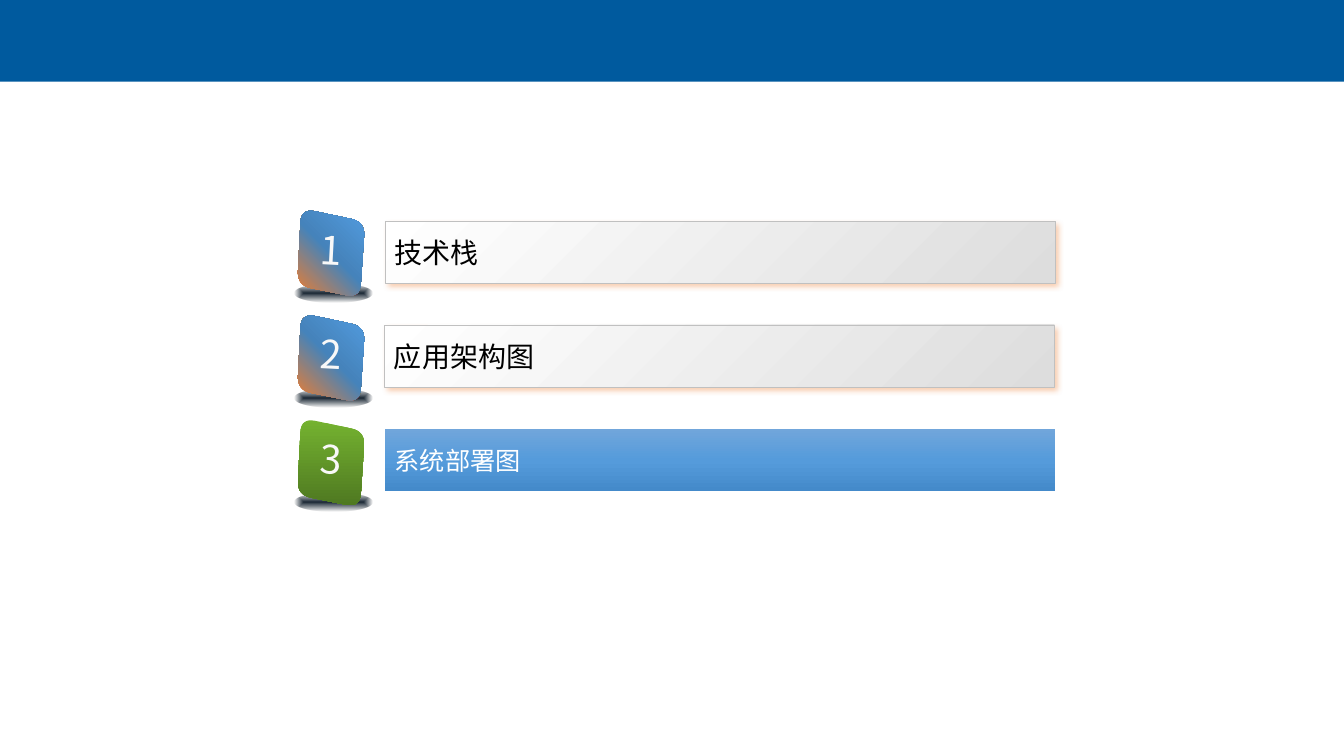
from lxml.etree import SubElement
from pptx import Presentation
from pptx.dml.color import RGBColor
from pptx.enum.shapes import MSO_SHAPE
from pptx.enum.text import MSO_ANCHOR, PP_ALIGN
from pptx.oxml import parse_xml
from pptx.oxml.ns import nsdecls, qn
from pptx.util import Cm, Pt

FONT = "Noto Sans CJK SC"
BAND_BLUE = RGBColor(0x00, 0x5A, 0x9E)
ORANGE = RGBColor(0xED, 0x7D, 0x31)
TILE_BLUE = RGBColor(0x45, 0x83, 0xBB)
TILE_LIGHT_BLUE = RGBColor(0x52, 0x9B, 0xDE)
GREEN = RGBColor(0x74, 0xB2, 0x30)
DARK_GREEN = RGBColor(0x4F, 0x79, 0x21)
NAVY = RGBColor(0x00, 0x10, 0x1E)
BAR_GRAY = RGBColor(0xDD, 0xDD, 0xDD)
BORDER_GRAY = RGBColor(0xC0, 0xC0, 0xC0)
BAR_LIGHT_BLUE = RGBColor(0x71, 0xA6, 0xDB)
BAR_BLUE = RGBColor(0x55, 0x9B, 0xDB)
BAR_DEEP_BLUE = RGBColor(0x44, 0x8A, 0xCA)
OFF_WHITE = RGBColor(0xF8, 0xF8, 0xF8)
WHITE = RGBColor(0xFF, 0xFF, 0xFF)
BLACK = RGBColor(0x00, 0x00, 0x00)

LINEAR = '<a:lin ang="{}" scaled="0"/>'
FROM_CENTRE = ('<a:path path="shape"><a:fillToRect l="50000" t="50000" '
               'r="50000" b="50000"/></a:path>')
FROM_BOTTOM_RIGHT = ('<a:path path="circle"><a:fillToRect l="100000" '
                     't="100000"/></a:path>')

BLUE_TILE = ([(0, ORANGE, 100), (50, TILE_BLUE, 100),
              (100, TILE_LIGHT_BLUE, 100)], LINEAR.format(315 * 60000))
GREEN_TILE = ([(0, GREEN, 100), (100, DARK_GREEN, 100)],
              LINEAR.format(90 * 60000))
GRAY_BAR = ([(0, BAR_GRAY, 100), (100, WHITE, 100)], FROM_BOTTOM_RIGHT)
BLUE_BAR = ([(0, BAR_LIGHT_BLUE, 100), (50, BAR_BLUE, 100),
             (100, BAR_DEEP_BLUE, 100)], LINEAR.format(90 * 60000))
GROUND_SHADOW = ([(0, NAVY, 90), (100, NAVY, 0)], FROM_CENTRE)

TILE_CORNERS = [(7.59, 5.25), (9.2, 5.59), (9.07, 7.51), (7.49, 7.19)]
CORNER_RADIUS = 0.36
ROW_PITCH = 2.64
BAR_PITCH = 2.62


def fill_gradient(shape, gradient):
    stops, direction = gradient
    stop_xml = "".join(
        f'<a:gs pos="{position * 1000}"><a:srgbClr val="{color}">'
        f'<a:alpha val="{opacity * 1000}"/></a:srgbClr></a:gs>'
        for position, color, opacity in stops)
    shape.fill.gradient()
    properties = shape._element.spPr
    properties.replace(properties.find(qn("a:gradFill")), parse_xml(
        f'<a:gradFill {nsdecls("a")} rotWithShape="1"><a:gsLst>{stop_xml}'
        f'</a:gsLst>{direction}</a:gradFill>'))


def add_plain_shape(slide, kind, left, top, width, height):
    shape = slide.shapes.add_shape(kind, Cm(left), Cm(top), Cm(width), Cm(height))
    shape.shadow.inherit = False
    shape.line.fill.background()
    return shape


def write(frame, text, size, color, alignment):
    paragraph = frame.paragraphs[0]
    paragraph.text = text
    paragraph.alignment = alignment
    font = paragraph.font
    font.size = Pt(size)
    font.color.rgb = color
    font.name = FONT
    SubElement(font._element, qn("a:ea")).set("typeface", FONT)
    return font


def rounded_outline(corners, radius):
    points = []
    for i, (x, y) in enumerate(corners):
        ends = []
        for nx, ny in (corners[i - 1], corners[(i + 1) % len(corners)]):
            share = radius / ((nx - x) ** 2 + (ny - y) ** 2) ** 0.5
            ends.append((x + (nx - x) * share, y + (ny - y) * share))
        (ax, ay), (bx, by) = ends
        for t in (step / 8 for step in range(9)):
            a, c, b = (1 - t) ** 2, 2 * t * (1 - t), t ** 2
            points.append((Cm(a * ax + c * x + b * bx),
                           Cm(a * ay + c * y + b * by)))
    return points


def add_number_tile(slide, row, gradient):
    offset = row * ROW_PITCH
    ground = add_plain_shape(slide, MSO_SHAPE.OVAL, 7.42, 7.14 + offset, 1.96, 0.48)
    fill_gradient(ground, GROUND_SHADOW)

    corners = [(x, y + offset) for x, y in TILE_CORNERS]
    start, *rest = rounded_outline(corners, CORNER_RADIUS)
    outline = slide.shapes.build_freeform(*start)
    outline.add_line_segments(rest)
    tile = outline.convert_to_shape()
    tile.shadow.inherit = False
    tile.line.fill.background()
    fill_gradient(tile, gradient)

    number = slide.shapes.add_textbox(Cm(7.47), Cm(5.56 + offset), Cm(1.75), Cm(1.5))
    number.rotation = 3
    number.text_frame.word_wrap = True
    font = write(number.text_frame, str(row + 1), 28, OFF_WHITE, PP_ALIGN.CENTER)
    font._element.set("spc", "150")


def add_bar(slide, row, left, text, size, color, gradient):
    bar = add_plain_shape(slide, MSO_SHAPE.RECTANGLE, left, 5.57 + row * BAR_PITCH,
                          16.89, 1.57)
    fill_gradient(bar, gradient)
    bar.text_frame.vertical_anchor = MSO_ANCHOR.MIDDLE
    write(bar.text_frame, text, size, color, PP_ALIGN.LEFT)
    return bar


def raise_bar(bar):
    bar.line.color.rgb = BORDER_GRAY
    bar.line.width = Pt(0.25)
    effects = bar._element.spPr.find(qn("a:effectLst"))
    effects.append(parse_xml(
        f'<a:outerShdw {nsdecls("a")} blurRad="{Pt(4)}" dist="{Pt(3)}" '
        f'dir="{45 * 60000}" algn="tl" rotWithShape="0">'
        f'<a:srgbClr val="{ORANGE}"><a:alpha val="40000"/></a:srgbClr>'
        '</a:outerShdw>'))


def main():
    presentation = Presentation()
    presentation.slide_width = Cm(33.87)
    presentation.slide_height = Cm(19.05)
    slide = presentation.slides.add_slide(presentation.slide_layouts[6])

    band = add_plain_shape(slide, MSO_SHAPE.RECTANGLE, 0, 0, 33.87, 2.06)
    band.fill.solid()
    band.fill.fore_color.rgb = BAND_BLUE

    for row, (left, topic) in enumerate([(9.7, "技术栈"), (9.68, "应用架构图")]):
        add_number_tile(slide, row, BLUE_TILE)
        raise_bar(add_bar(slide, row, left, topic, 20, BLACK, GRAY_BAR))
    add_number_tile(slide, 2, GREEN_TILE)
    add_bar(slide, 2, 9.7, "系统部署图", 18, WHITE, BLUE_BAR)

    presentation.save("out.pptx")


main()
